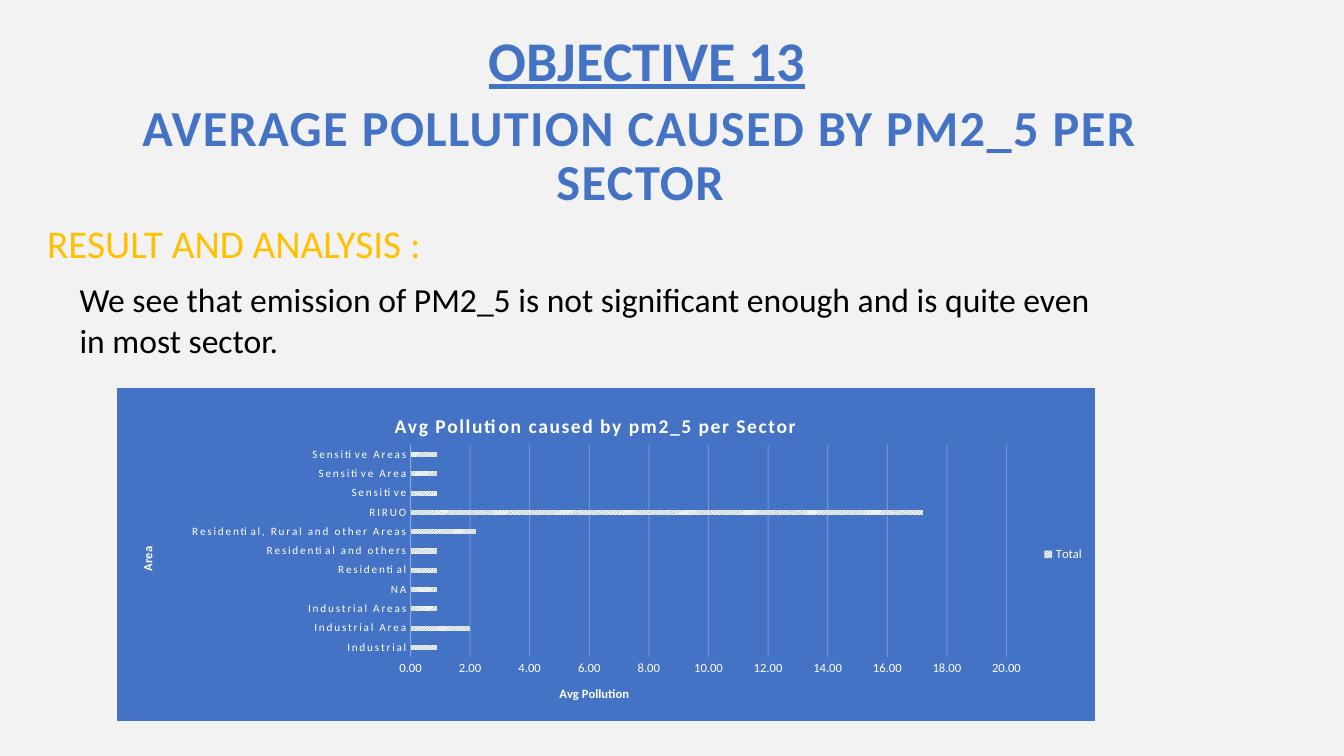
from lxml import etree
from pptx import Presentation
from pptx import util as u
from pptx.chart import data as chart_data
from pptx.dml.color import RGBColor
from pptx.enum import chart as charts, dml, text
from pptx.oxml import parse_xml
from pptx.oxml.ns import nsdecls, qn

BLUE, GOLD, WHITE, BLACK = "4472C4", "FFC000", "FFFFFF", "000000"
FONT = "Calibri"
SECTORS = {
    "Industrial": 0.9, "Industrial Area": 2, "Industrial Areas": 0.9, "NA": 0.9,
    "Residential": 0.9, "Residential and others": 0.9,
    "Residential, Rural and other Areas": 2.2, "RIRUO": 17.2,
    "Sensitive": 0.9, "Sensitive Area": 0.9, "Sensitive Areas": 0.9,
}


def color(value):
    return RGBColor.from_string(value)


def set_font(font, size, value, **formats):
    font.color.rgb = color(value)
    for name, setting in dict(name=FONT, size=u.Pt(size), **formats).items():
        setattr(font, name, setting)


def set_spacing(element, points):
    """Letter spacing on every run or default run of the element."""
    for tag in ("a:rPr", "a:defRPr"):
        for properties in element.iter(qn(tag)):
            properties.set("spc", str(int(points * 100)))


def add_text(slide, box, words, size, value, wrap=True, spacing=0, frame_formats=None,
             paragraph_formats=None, **formats):
    shape = slide.shapes.add_textbox(*map(u.Inches, box))
    frame = shape.text_frame
    frame.word_wrap = wrap
    for name, setting in (frame_formats or {}).items():
        setattr(frame, name, setting)
    paragraph = frame.paragraphs[0]
    for name, setting in (paragraph_formats or {}).items():
        setattr(paragraph, name, setting)
    run = paragraph.add_run()
    run.text = words
    set_font(run.font, size, value, **formats)
    if spacing:
        set_spacing(shape.element, spacing)


def add_headings(slide, left, top):
    add_text(slide, (left + 4.24, top, 3.37, 0.77), "OBJECTIVE 13", 40, BLUE,
             wrap=False, bold=True, underline=True)
    add_text(slide, (left, top + 0.9, 11.68, 0.92),
             "AVERAGE POLLUTION CAUSED BY PM2_5 PER SECTOR", 36, BLUE, spacing=1,
             frame_formats={"vertical_anchor": text.MSO_ANCHOR.MIDDLE},
             paragraph_formats={"alignment": text.PP_ALIGN.CENTER, "line_spacing": 0.9},
             bold=True)


def add_analysis(slide, left, top):
    add_text(slide, (left, top, 3.97, 0.57), "RESULT AND ANALYSIS :", 28, GOLD)
    add_text(slide, (left + 0.32, top + 0.59, 10.51, 0.91),
             "We see that emission of PM2_5 is not significant enough and is quite even "
             "in most sector.", 24, BLACK)


def set_layout(parent, index, inner=False, **fractions):
    """Place a chart part by fractions of the chart area."""
    for old in parent.findall(qn("c:layout")):
        parent.remove(old)
    layout = etree.Element(qn("c:layout"))
    manual = etree.SubElement(layout, qn("c:manualLayout"))
    if inner:
        etree.SubElement(manual, qn("c:layoutTarget"), val="inner")
    for name in ("x", "y"):
        etree.SubElement(manual, qn(f"c:{name}Mode"), val="edge")
    for name, fraction in fractions.items():
        etree.SubElement(manual, qn(f"c:{name}"), val=str(fraction))
    parent.insert(index, layout)


def set_title(title, words, size, x, y, spacing=0):
    frame = title.text_frame
    frame.text = words
    set_font(frame.paragraphs[0].runs[0].font, size, WHITE, bold=True)
    element = title._element
    set_spacing(element, spacing)
    set_layout(element, 1, x=x, y=y)
    return element


def add_sector_chart(slide, box):
    data = chart_data.CategoryChartData(number_format="0.00")
    data.categories = list(SECTORS)
    data.add_series("Total", list(SECTORS.values()))
    chart = slide.shapes.add_chart(
        charts.XL_CHART_TYPE.BAR_CLUSTERED, *map(u.Inches, box), data).chart
    set_font(chart.font, 10, BLACK)

    # Background of the chart area
    chart._chartSpace.find(qn("c:chart")).addnext(parse_xml(
        f'<c:spPr {nsdecls("c", "a")}><a:solidFill><a:srgbClr val="{BLUE}"/></a:solidFill>'
        f'<a:ln w="9525"><a:solidFill><a:srgbClr val="{BLUE}"/></a:solidFill></a:ln></c:spPr>'))
    set_layout(chart._chartSpace.chart.plotArea, 0, inner=True, x=0.3, y=0.17, w=0.61, h=0.64)

    # Bars
    plot = chart.plots[0]
    plot.gap_width, plot.overlap, plot.vary_by_categories = 269, -20, False
    fill = plot.series[0].format.fill
    fill.patterned()
    fill.pattern = dml.MSO_PATTERN.LIGHT_UPWARD_DIAGONAL
    fill.fore_color.rgb, fill.back_color.rgb = color(BLUE), color(WHITE)

    # Axes
    sectors, values = chart.category_axis, chart.value_axis
    for axis, size in ((sectors, 8), (values, 9)):
        axis.major_tick_mark = axis.minor_tick_mark = charts.XL_TICK_MARK.NONE
        set_font(axis.tick_labels.font, size, WHITE)
    set_spacing(sectors._element.find(qn("c:txPr")), 1.2)
    sectors.format.line.color.rgb = color("8FAADC")
    sectors.format.line.width = u.Pt(0.25)
    values.format.line.fill.background()
    values.minimum_scale, values.maximum_scale, values.major_unit = 0, 20, 2
    values.tick_labels.number_format = "0.00"
    values.tick_labels.number_format_is_linked = False
    grid = values.major_gridlines.format.line
    grid.color.rgb, grid.width = color(WHITE), u.Pt(0.75)
    grid_color = next(values.major_gridlines._xAx.find(qn("c:majorGridlines")).iter(qn("a:srgbClr")))
    etree.SubElement(grid_color, qn("a:alpha"), val="25000")

    # Titles and legend
    chart.has_title = True
    set_title(chart.chart_title, "Avg Pollution caused by pm2_5 per Sector", 14, 0.28, 0.06, 1)
    set_title(values.axis_title, "Avg Pollution", 9, 0.45, 0.89)
    area = set_title(sectors.axis_title, "Area", 9, 0.02, 0.47)
    body = next(area.iter(qn("a:bodyPr")))
    body.set("rot", "-5400000")
    body.set("vert", "horz")
    chart.has_legend = True
    chart.legend.position = charts.XL_LEGEND_POSITION.RIGHT
    chart.legend.include_in_layout = False
    set_font(chart.legend.font, 9, WHITE)


def main():
    presentation = Presentation()
    presentation.slide_width, presentation.slide_height = u.Inches(13.33), u.Inches(7.5)
    slide = presentation.slides.add_slide(presentation.slide_layouts[6])
    slide.background.fill.solid()
    slide.background.fill.fore_color.rgb = color("F2F2F2")
    add_headings(slide, 0.51, 0.2)
    add_analysis(slide, 0.37, 2.13)
    add_sector_chart(slide, (1.16, 3.85, 9.7, 3.3))
    presentation.save("out.pptx")


if __name__ == "__main__":
    main()
